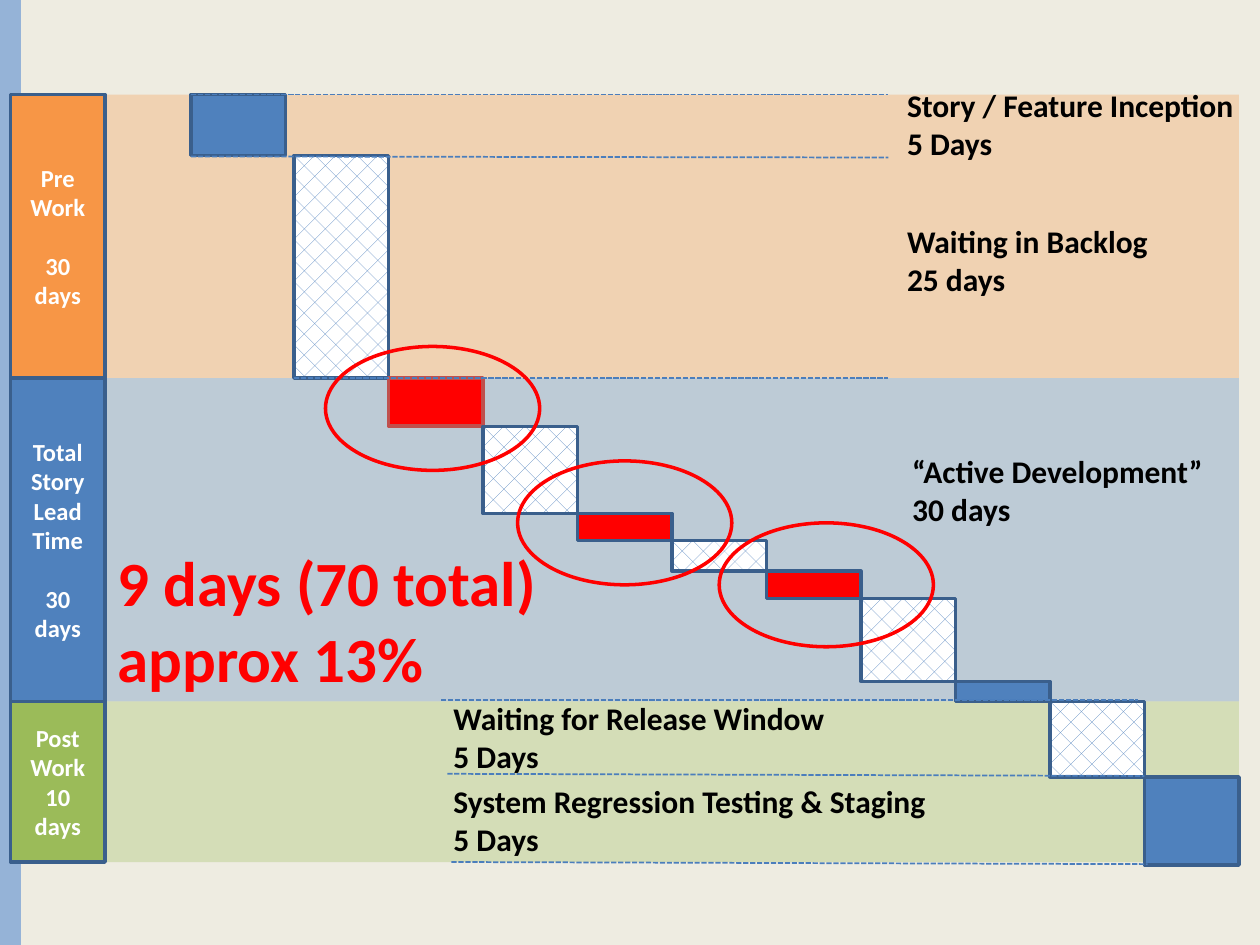
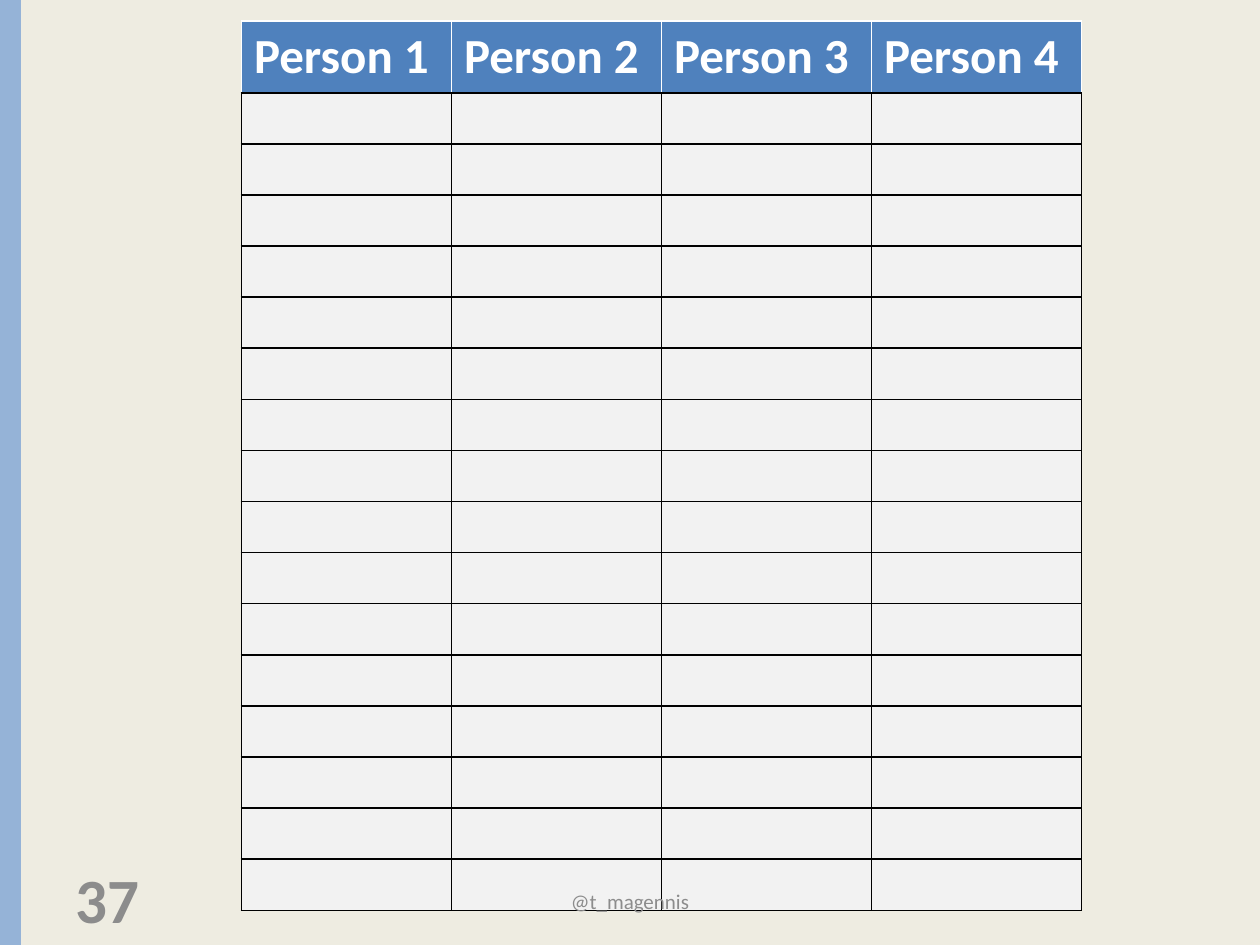
import lxml.etree
import pptx
import pptx.dml.color
import pptx.enum.dml
import pptx.enum.shapes
import pptx.enum.text
import pptx.oxml.ns
import pptx.util

RGB = pptx.dml.color.RGBColor
Pt = pptx.util.Pt
qn = pptx.oxml.ns.qn
SHAPE = pptx.enum.shapes.MSO_SHAPE
ALIGN = pptx.enum.text.PP_ALIGN
ANCHOR = pptx.enum.text.MSO_ANCHOR

CREAM = RGB(0xEE, 0xEC, 0xE1)
SKY = RGB(0x95, 0xB3, 0xD7)
BLUE = RGB(0x4F, 0x81, 0xBD)
NAVY = RGB(0x3A, 0x5F, 0x8C)
DASH = RGB(0x4B, 0x7E, 0xBC)
ORANGE = RGB(0xF7, 0x96, 0x46)
GREEN = RGB(0x9B, 0xBB, 0x59)
RED = RGB(0xFF, 0, 0)
BRICK = RGB(0xC0, 0x50, 0x4D)
BLACK = RGB(0, 0, 0)
WHITE = RGB(0xFF, 0xFF, 0xFF)
GREY = RGB(0x8C, 0x8C, 0x8C)
PALE = RGB(0xF2, 0xF2, 0xF2)

FONT = "Calibri"
COLS, ROWS = 120, 90  # grid over the whole slide


class Deck:
    """Holds the style and the current slide; lengths are grid columns and rows."""

    def __init__(self):
        self.prs = pptx.Presentation()
        self.prs.slide_width = pptx.util.Inches(10)
        self.prs.slide_height = pptx.util.Inches(7.5)
        self.slide = None

    def x(self, cols):
        return round(self.prs.slide_width * cols / COLS)

    def y(self, rows):
        return round(self.prs.slide_height * rows / ROWS)

    def area(self, left, top, width, height):
        return self.x(left), self.y(top), self.x(width), self.y(height)

    def page(self):
        self.slide = self.prs.slides.add_slide(self.prs.slide_layouts[6])
        fill = self.slide.background.fill
        fill.solid()
        fill.fore_color.rgb = CREAM
        self.shape((0, 0, 2, ROWS), SKY)

    def shape(self, area, fill=None, line=None, kind=SHAPE.RECTANGLE, alpha=None):
        item = self.slide.shapes.add_shape(kind, *self.area(*area))
        item.shadow.inherit = False
        if fill is None:
            item.fill.background()
        else:
            item.fill.solid()
            item.fill.fore_color.rgb = fill
        if alpha is not None:
            color = item.element.spPr.find(".//" + qn("a:srgbClr"))
            lxml.etree.SubElement(color, qn("a:alpha")).set("val", str(alpha * 1000))
        if line is None:
            item.line.fill.background()
        else:
            item.line.color.rgb = line
            item.line.width = Pt(2)
        return item

    def brick(self, area):
        fill = self.shape(area, WHITE, NAVY).fill
        fill.patterned()
        fill.pattern = pptx.enum.dml.MSO_PATTERN.DIAGONAL_BRICK
        fill.fore_color.rgb = BLUE
        fill.back_color.rgb = WHITE

    def label(self, frame, paras, size, color, bold=True, align=ALIGN.LEFT):
        frame.text = "\n".join(paras)
        for i, para in enumerate(frame.paragraphs):
            para.alignment = align
            if i:
                para.space_before = Pt(size * 1.2)
            font = para.font
            font.name, font.size, font.bold = FONT, Pt(size), bold
            font.color.rgb = color

    def text(self, area, words, size=18, color=BLACK, anchor=ANCHOR.TOP, **style):
        frame = self.slide.shapes.add_textbox(*self.area(*area)).text_frame
        frame.word_wrap = True
        frame.vertical_anchor = anchor
        self.label(frame, [words], size, color, **style)

    def phase(self, top, bottom, color, paras):
        """A labelled block at the left with a tinted band beside it."""
        high = bottom - top
        self.shape((10, top, 108, high), color, alpha=30)
        block = self.shape((1, top, 9, high), color, NAVY)
        block.text_frame.vertical_anchor = ANCHOR.MIDDLE
        self.label(block.text_frame, paras, 14, WHITE, align=ALIGN.CENTER)

    def dash(self, left, top, right, bottom):
        line = self.slide.shapes.add_connector(
            pptx.enum.shapes.MSO_CONNECTOR.STRAIGHT,
            self.x(left), self.y(top), self.x(right), self.y(bottom))
        line.line.color.rgb = DASH
        line.line.width = Pt(1)
        line.line.dash_style = pptx.enum.dml.MSO_LINE.SQUARE_DOT
        lxml.etree.SubElement(line.element.spPr, qn("a:effectLst"))

    def edges(self, cell, colors):
        """Draw the left, right, top and bottom borders of a cell."""
        props = cell._tc.get_or_add_tcPr()
        for i, (side, color) in enumerate(zip("LRTB", colors)):
            edge = lxml.etree.Element(qn("a:ln" + side), w=str(Pt(1)))
            fill = lxml.etree.SubElement(edge, qn("a:solidFill"))
            lxml.etree.SubElement(fill, qn("a:srgbClr"), val=str(color))
            props.insert(i, edge)

    def table(self, area, heads, count, head, row):
        """A header row of height head over count empty rows of height row."""
        grid = self.slide.shapes.add_table(
            count + 1, len(heads), *self.area(*area)).table
        for i, line in enumerate(grid.rows):
            line.height = self.y(row if i else head)
            for j, cell in enumerate(line.cells):
                cell.fill.solid()
                cell.fill.fore_color.rgb = PALE if i else BLUE
                self.edges(cell, [BLACK] * 4 if i else [WHITE] * 3 + [BLACK])
                if i == 0:
                    self.label(cell.text_frame, [heads[j]], 28, WHITE)


def flow(deck):
    """Waterfall of the days a story spends in each stage."""
    deck.page()
    deck.phase(9, 36, ORANGE, ["Pre Work", "30 days"])
    deck.phase(36, 66.8, BLUE, ["Total Story Lead Time", "30 days"])
    deck.phase(66.8, 82.1, GREEN, ["Post Work 10 days"])

    wide = 9
    deck.shape((18.2, 9, wide, 5.8), BLUE, NAVY)
    tops = [14.8, 36, 40.6, 48.9, 51.5, 54.4, 57, 64.9, 66.8, 74, 82.4]
    fills = [None, RED, None, RED, None, RED, None, BLUE, None, BLUE]
    for i, fill in enumerate(fills):
        area = (28 + i * wide, tops[i], wide, tops[i + 1] - tops[i])
        if fill is None:
            deck.brick(area)
        else:
            deck.shape(area, fill, BRICK if i == 1 else NAVY)

    for ends in [(18.2, 9, 84.6, 9), (18.2, 14.9, 84.6, 15), (28, 36, 84.6, 36),
                 (42, 66.7, 108.4, 66.7), (42.6, 73.7, 109, 73.9),
                 (43, 82.1, 109.3, 82.3)]:
        deck.dash(*ends)

    for left, top, width, words in [
            (85.2, 7.6, 34, "Story / Feature Inception\v5 Days"),
            (85.2, 20.6, 26, "Waiting in Backlog\v25 days"),
            (85.7, 42.5, 31, "“Active Development”\v30 days"),
            (42, 66, 38, "Waiting for Release Window\v5 Days"),
            (42, 73.9, 50, "System Regression Testing & Staging\v5 Days")]:
        deck.text((left, top, width, 8.5), words)

    deck.text((10, 51.2, 46, 15.8), "9 days (70 total)\vapprox 13%", 36, RED)
    for left, top in [(31, 33), (49.3, 43.9), (68.5, 49.8)]:
        deck.shape((left, top, 20.4, 11.8), line=RED, kind=SHAPE.OVAL)


def people(deck):
    """Blank sheet with one column for each person."""
    deck.page()
    deck.text((6, 83.2, 28, 4.8), "37", 36, GREY, ANCHOR.MIDDLE)
    heads = [f"Person {n}" for n in range(1, 5)]
    deck.table((23, 2, 80, 84.7), heads, 16, head=6.84, row=4.87)
    deck.text((41, 83.4, 38, 4.8), "@t_magennis", 12, GREY, ANCHOR.MIDDLE,
              bold=False, align=ALIGN.CENTER)


def main():
    deck = Deck()
    flow(deck)
    people(deck)
    deck.prs.save("out.pptx")


if __name__ == "__main__":
    main()
